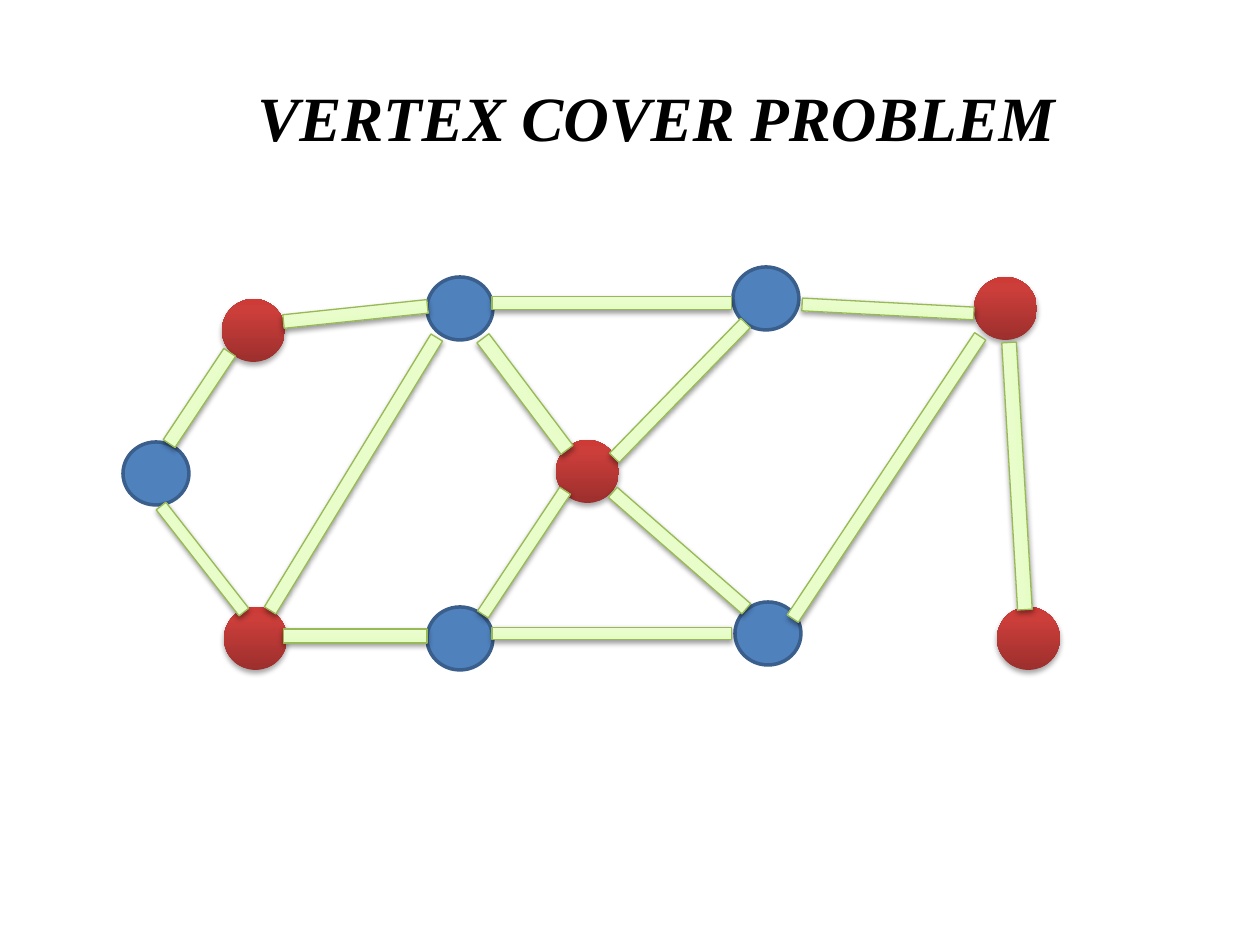
from lxml.etree import SubElement
from pptx import Presentation
from pptx.dml.color import RGBColor
from pptx.enum.shapes import MSO_SHAPE
from pptx.enum.text import MSO_ANCHOR, PP_ALIGN
from pptx.oxml.ns import qn
from pptx.util import Emu, Pt

PX_PER_INCH = 126
COLORS = {
    "title": "000000", "shadow": "000000",
    "open": "4F81BD", "open_line": "3A5F8C",
    "cover_dark": "9C2F2D", "cover_mid": "CB3E3A", "cover_light": "CE3B37",
    "edge_dark": "DAFDA7", "edge_mid": "E4FCC2", "edge_light": "F5FFE7",
    "edge_line": "98B955",
}
COVER_STOPS = [(0, "cover_dark"), (80, "cover_mid"), (100, "cover_light")]
EDGE_STOPS = [(0, "edge_dark"), (35, "edge_mid"), (100, "edge_light")]
TITLE_FORMAT = {"name": "Times New Roman", "size": Pt(36), "bold": True, "italic": True}

# Left and top of each vertex
COVER_SIZE = (63, 63)
COVER_VERTICES = [(556, 440), (997, 607), (224, 607), (222, 299), (974, 277)]
OPEN_SIZE = (66, 63)
OPEN_VERTICES = [(427, 277), (735, 602), (733, 267), (427, 607), (123, 442)]

# Left, top, width, height and rotation of each edge
EDGES = [
    (125, 368, 149, 60, 303.6),
    (257, 285, 197, 58, 354),
    (552, 362, 256, 57, 314.2),
    (136, 445, 435, 58, 301.4),
    (771, 282, 234, 54, 3),
    (559, 522, 241, 57, 221.1),
    (430, 362, 190, 64, 233),
    (258, 606, 195, 60, 0),
    (423, 525, 202, 55, 303.6),
    (449, 607, 326, 53, 0),
    (111, 533, 183, 52, 232),
    (449, 276, 326, 54, 0),
    (835, 445, 364, 62, 266.6),
    (656, 449, 461, 57, 303.6),
]


def px(length):
    return Emu(round(length * 914400 / PX_PER_INCH))


def rgb(key):
    return RGBColor.from_string(COLORS[key])


def add_color(parent, key):
    return SubElement(parent, qn("a:srgbClr"), val=COLORS[key])


def set_gradient(shape, stops):
    shape.fill.gradient()
    shape.fill.gradient_angle = 90
    stop_list = shape._element.spPr.find(".//" + qn("a:gsLst"))
    for old_stop in list(stop_list):
        stop_list.remove(old_stop)
    for percent, key in stops:
        add_color(SubElement(stop_list, qn("a:gs"), pos=str(percent * 1000)), key)


def set_shadow(shape, distance, opacity):
    effects = shape._element.spPr.find(qn("a:effectLst"))
    shadow = SubElement(effects, qn("a:outerShdw"), blurRad=str(Pt(3.1)),
                        dist=str(Pt(distance)), dir="5400000", rotWithShape="0")
    SubElement(add_color(shadow, "shadow"), qn("a:alpha"), val=str(opacity * 1000))


def set_line(shape, key, width):
    shape.line.color.rgb = rgb(key)
    shape.line.width = Pt(width)


def add_plain_shape(slide, kind, *box):
    shape = slide.shapes.add_shape(kind, *map(px, box))
    shape.shadow.inherit = False
    return shape


def add_cover_vertex(slide, left, top):
    vertex = add_plain_shape(slide, MSO_SHAPE.OVAL, left, top, *COVER_SIZE)
    set_gradient(vertex, COVER_STOPS)
    vertex.line.fill.background()
    set_shadow(vertex, 1.8, 35)


def add_open_vertex(slide, left, top):
    vertex = add_plain_shape(slide, MSO_SHAPE.OVAL, left, top, *OPEN_SIZE)
    vertex.fill.solid()
    vertex.fill.fore_color.rgb = rgb("open")
    set_line(vertex, "open_line", 2)


def add_edge(slide, left, top, width, height, rotation):
    edge = add_plain_shape(slide, MSO_SHAPE.MATH_MINUS, left, top, width, height)
    edge.rotation = rotation
    set_gradient(edge, EDGE_STOPS)
    set_line(edge, "edge_line", 0.75)
    set_shadow(edge, 1.6, 38)


def format_title(slide):
    title = slide.shapes.title
    title.left, title.top, title.width, title.height = map(px, (53, 53, 1207, 126))
    title.text_frame.vertical_anchor = MSO_ANCHOR.MIDDLE
    heading = title.text_frame.paragraphs[0]
    heading.alignment = PP_ALIGN.CENTER
    words = heading.add_run()
    words.text = "VERTEX COVER PROBLEM"
    for attribute, value in TITLE_FORMAT.items():
        setattr(words.font, attribute, value)
    words.font.color.rgb = rgb("title")


def main():
    deck = Presentation()
    deck.slide_width, deck.slide_height = px(1260), px(945)
    slide = deck.slides.add_slide(deck.slide_layouts[5])
    format_title(slide)

    # Vertices lie behind the edges
    for place in COVER_VERTICES:
        add_cover_vertex(slide, *place)
    for place in OPEN_VERTICES:
        add_open_vertex(slide, *place)
    for edge in EDGES:
        add_edge(slide, *edge)

    deck.save("out.pptx")


if __name__ == "__main__":
    main()
